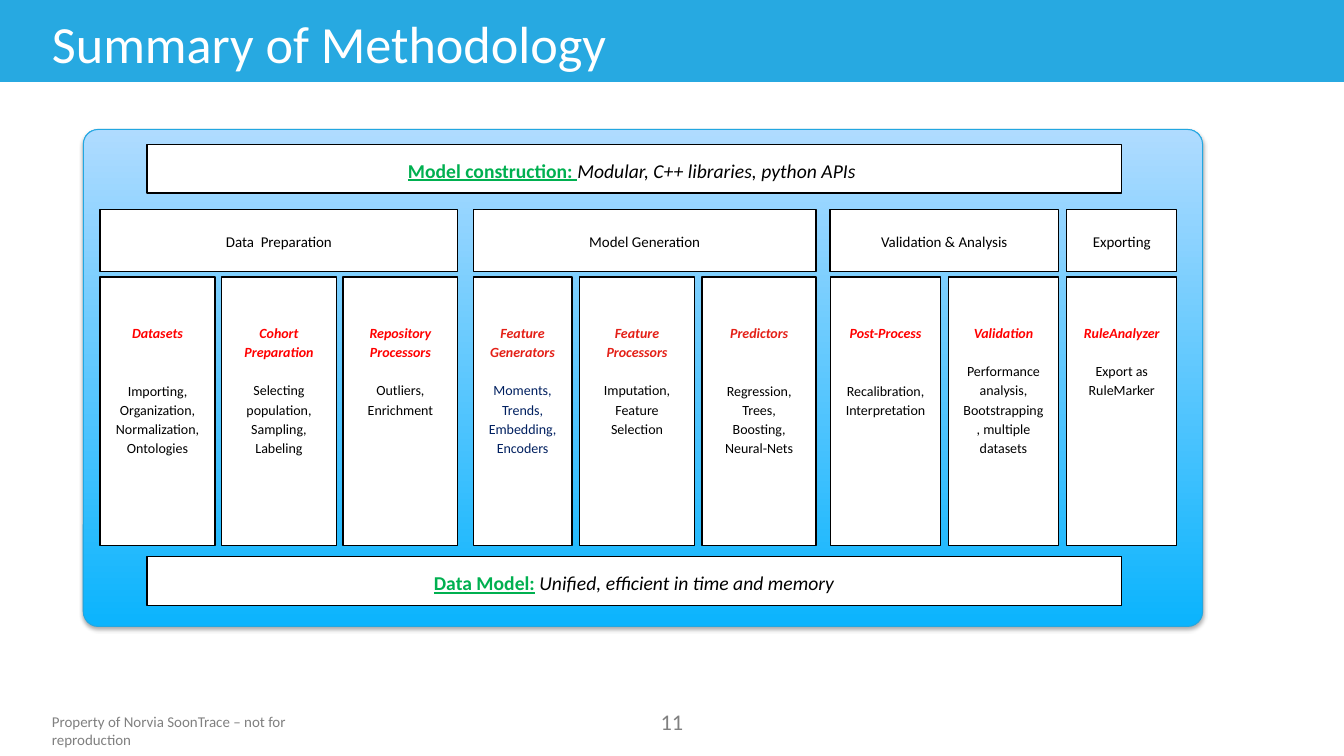
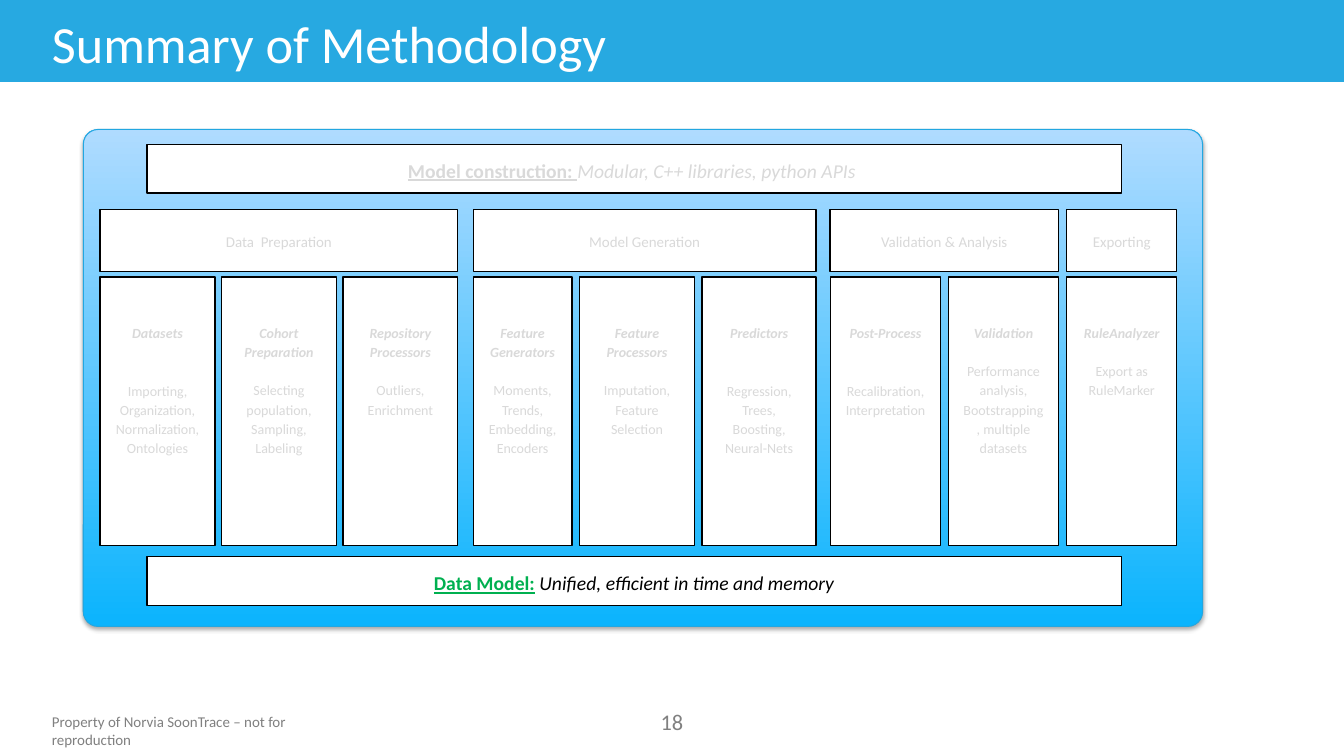
from lxml.etree import SubElement
from pptx import Presentation
from pptx.dml.color import RGBColor
from pptx.enum.shapes import MSO_SHAPE
from pptx.enum.text import MSO_ANCHOR, PP_ALIGN
from pptx.oxml.ns import qn
from pptx.util import Pt

COLORS = {
    "band": "27A9E1", "edge": "22A7E1", "deep": "0BB4FD", "pale": "AFDBFF",
    "white": "FFFFFF", "black": "000000", "gray": "808080", "dim": "D9D9D9",
    "green": "00B050", "red": "FF0000", "brick": "E42017", "navy": "002060",
}
FONTS = {
    "title": {"size": Pt(37.3)},
    "foot": {"size": Pt(10.7)},
    "page": {"size": Pt(16)},
    "lead": {"size": Pt(14), "bold": True, "underline": True},
    "note": {"size": Pt(14), "italic": True},
    "gap": {"size": Pt(14)},
    "stage": {"size": Pt(10.7)},
    "head": {"size": Pt(10), "bold": True, "italic": True},
    "body": {"size": Pt(10)},
}

TITLE = "Summary of Methodology"
FOOT = "Property of Norvia SoonTrace – not for reproduction"
# Page number, and whether everything but the data model is dimmed
PAGES = [("11", False), ("18", True)]

BUILD = [("Model construction: ", "lead", "green"),
         ("Modular, C++ libraries, python APIs ", "note", "black")]
DATA = [("Data Model:", "lead", "green"), (" ", "gap", "green"),
        ("Unified, efficient in time and memory", "note", "black")]

# Stage: name, left, width, head colour, parts
# Part: width, head, body, body colour, lines skipped above the body
STAGES = [
    ("Data  Preparation", 71.5, 255.5, "red", [
        (82, "Datasets", "Importing, Organization, Normalization, Ontologies", "black", 1),
        (82, "Cohort Preparation", "Selecting population, Sampling, Labeling", "black", 0),
        (82, "Repository Processors", "Outliers, Enrichment", "black", 0)]),
    ("Model Generation", 338, 245, "brick", [
        (70.5, "Feature Generators", "Moments, Trends, Embedding, Encoders", "navy", 0),
        (82, "Feature Processors", "Imputation, Feature Selection", "black", 0),
        (81.5, "Predictors", "Regression, Trees, Boosting, Neural-Nets", "black", 1)]),
    ("Validation & Analysis", 593, 163, "red", [
        (79, "Post-Process", "Recalibration, Interpretation", "black", 1),
        (78.5, "Validation",
         "Performance analysis, Bootstrapping, multiple datasets", "black", 0)]),
    ("Exporting", 762, 78.5, "red", [
        (78.5, "RuleAnalyzer", "Export as RuleMarker", "black", 0)]),
]

WIDE, HIGH = 960, 540
BAR_X, BAR_W, BAR_H = 105, 696, 35
BUILD_Y, STAGE_Y, PART_Y, DATA_Y = 103, 149.5, 198, 397.5
STAGE_H, PART_H = 44.5, 191.5
LINE_H, AFTER, HEAD_TOP = 14, 13.3, 32


def rgb(name):
    return RGBColor.from_string(COLORS[name])


def write(para, runs, dim=False):
    for text, style, color in runs:
        run = para.add_run()
        run.text = text
        run.font.name = "Calibri"
        run.font.color.rgb = rgb("dim" if dim else color)
        for key, value in FONTS[style].items():
            setattr(run.font, key, value)


def shape(slide, kind, box, fill=None, line=None, width=1):
    item = slide.shapes.add_shape(kind, *map(Pt, box))
    item.shadow.inherit = False
    if fill:
        item.fill.solid()
        item.fill.fore_color.rgb = rgb(fill)
    if line:
        item.line.color.rgb = rgb(line)
        item.line.width = Pt(width)
    else:
        item.line.fill.background()
    return item


def label(slide, box, run, align=PP_ALIGN.LEFT, anchor=MSO_ANCHOR.TOP, wrap=True):
    frame = slide.shapes.add_textbox(*map(Pt, box)).text_frame
    frame.word_wrap = wrap
    frame.vertical_anchor = anchor
    frame.paragraphs[0].alignment = align
    write(frame.paragraphs[0], [run])


def card(slide, box, paras, dim, top=4.8, anchor=MSO_ANCHOR.MIDDLE):
    """Draw a white box; each para is a list of runs and the space before it."""
    frame = shape(slide, MSO_SHAPE.RECTANGLE, box, "white", "black").text_frame
    setup = {"word_wrap": True, "vertical_anchor": anchor,
             "margin_left": Pt(9.6), "margin_right": Pt(9.6),
             "margin_top": Pt(top), "margin_bottom": Pt(4.8)}
    for key, value in setup.items():
        setattr(frame, key, value)
    for i, (runs, before) in enumerate(paras):
        para = frame.add_paragraph() if i else frame.paragraphs[0]
        form = {"alignment": PP_ALIGN.CENTER, "line_spacing": 1.15,
                "space_before": Pt(before), "space_after": Pt(AFTER)}
        for key, value in form.items():
            setattr(para, key, value)
        write(para, runs, dim)


def panel(slide):
    item = shape(slide, MSO_SHAPE.ROUNDED_RECTANGLE, (59.5, 92.5, 799.5, 355),
                 line="edge", width=0.75)
    item.adjustments[0] = 0.03
    item.fill.gradient()
    item.fill.gradient_angle = 90
    for stop, name in zip(item.fill.gradient_stops, ("deep", "pale")):
        stop.color.rgb = rgb(name)
    effect = item._element.spPr.find(qn("a:effectLst"))
    shade = SubElement(effect, qn("a:outerShdw"), blurRad=str(Pt(3.1)),
                       dist=str(Pt(1.8)), dir="5400000", rotWithShape="0")
    color = SubElement(shade, qn("a:srgbClr"), val=COLORS["black"])
    SubElement(color, qn("a:alpha"), val="35000")


def base(slide, page):
    """Draw the title band and footer that every slide has."""
    shape(slide, MSO_SHAPE.RECTANGLE, (0, -0.5, WIDE, 59), "band")
    label(slide, (30, 4.5, 799, 52.5), (TITLE, "title", "white"),
          anchor=MSO_ANCHOR.MIDDLE)
    label(slide, (30, 505.5, 240, 20), (FOOT, "foot", "gray"), wrap=False)
    label(slide, (451, 502, 58, 26.5), (page, "page", "gray"), PP_ALIGN.CENTER)


def stage(slide, name, left, width, color, parts, dim):
    card(slide, (left, STAGE_Y, width, STAGE_H),
         [([(name, "stage", "black")], 0)], dim)
    spare = width - sum(part[0] for part in parts)
    gap = spare / max(len(parts) - 1, 1)
    for wide, head, body, ink, skip in parts:
        paras = [([(head, "head", color)], 0),
                 ([(body, "body", ink)], skip * LINE_H)]
        card(slide, (left, PART_Y, wide, PART_H), paras, dim,
             HEAD_TOP, MSO_ANCHOR.TOP)
        left += wide + gap


def main():
    deck = Presentation()
    deck.slide_width, deck.slide_height = Pt(WIDE), Pt(HIGH)
    for page, dim in PAGES:
        slide = deck.slides.add_slide(deck.slide_layouts[6])
        base(slide, page)
        panel(slide)
        card(slide, (BAR_X, BUILD_Y, BAR_W, BAR_H), [(BUILD, 0)], dim)
        for item in STAGES:
            stage(slide, *item, dim)
        card(slide, (BAR_X, DATA_Y, BAR_W, BAR_H), [(DATA, 0)], False)
    deck.save("out.pptx")


if __name__ == "__main__":
    main()
